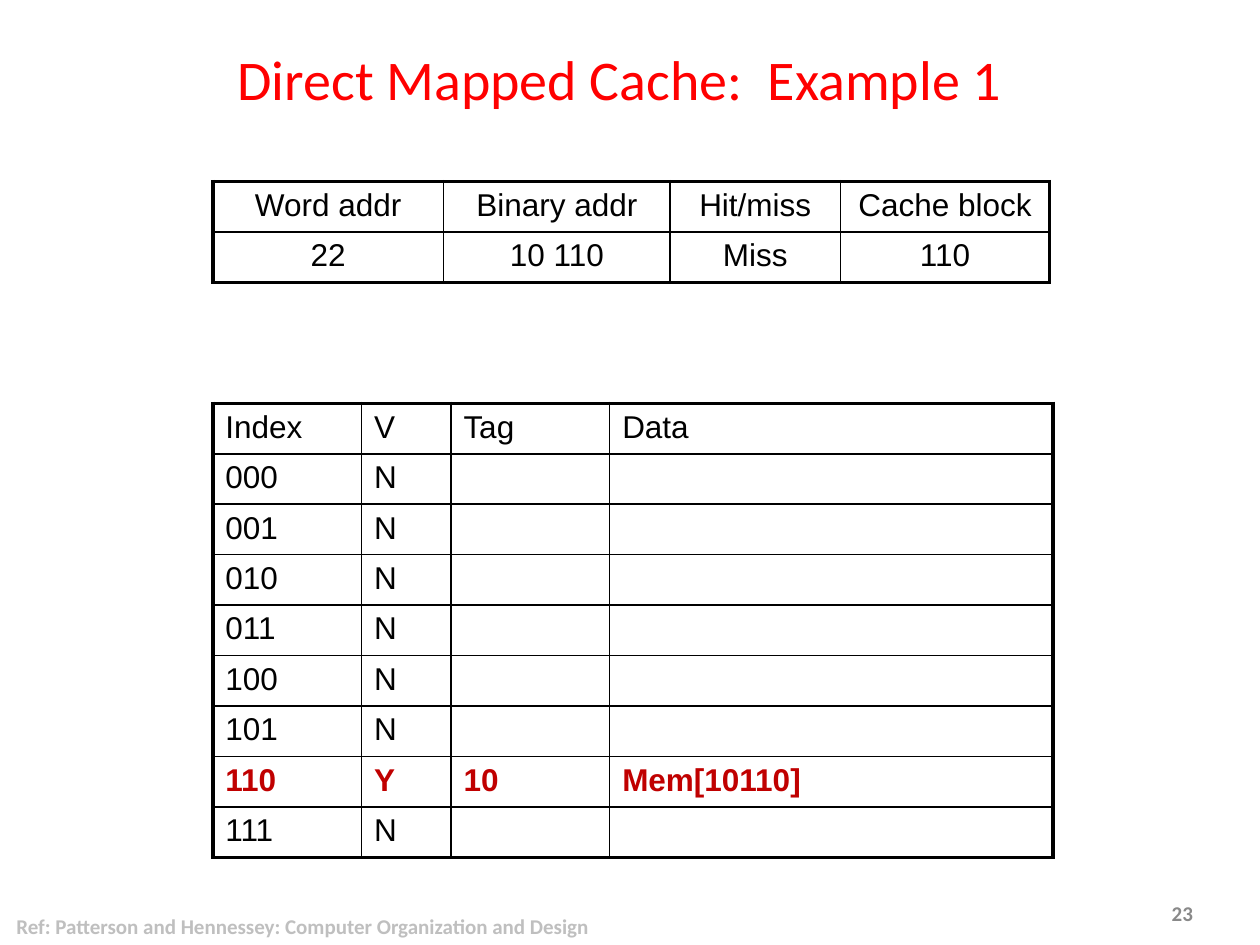
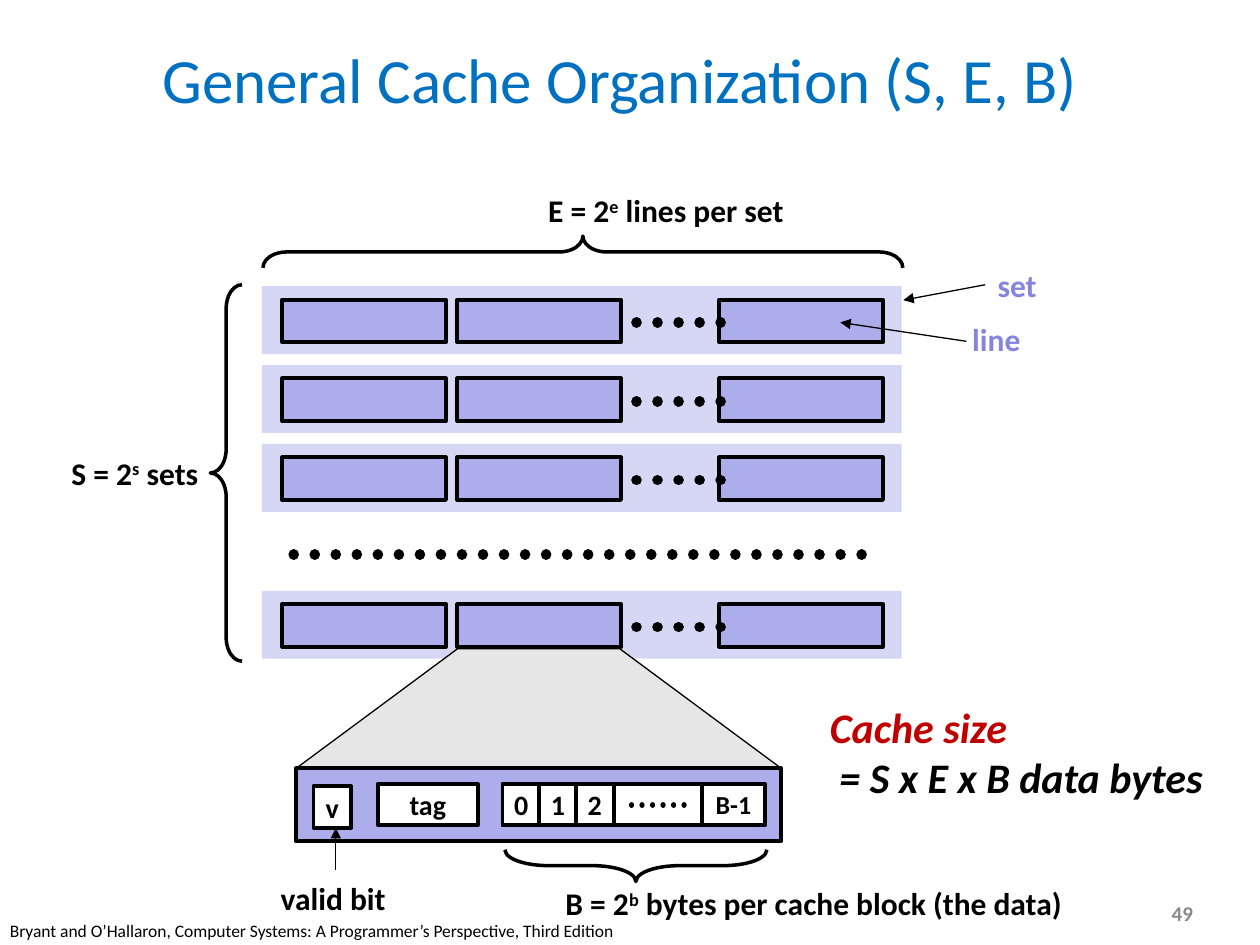
"""Builds two slides on how a cache is organized."""
from lxml.etree import SubElement
from pptx import Presentation
from pptx.dml.color import RGBColor
from pptx.enum.dml import MSO_LINE
from pptx.enum.shapes import MSO_CONNECTOR, MSO_SHAPE
from pptx.enum.text import MSO_ANCHOR, PP_ALIGN
from pptx.oxml.ns import qn
from pptx.util import Cm, Pt

BLACK = RGBColor(0x00, 0x00, 0x00)
WHITE = RGBColor(0xFF, 0xFF, 0xFF)
RED = RGBColor(0xFF, 0x00, 0x00)
BLUE = RGBColor(0x00, 0x70, 0xC0)
CRIMSON = RGBColor(0xC0, 0x00, 0x00)
GRAY = RGBColor(0x89, 0x89, 0x89)
SILVER = RGBColor(0xBF, 0xBF, 0xBF)
SMOKE = RGBColor(0xE6, 0xE6, 0xE6)
LILAC = RGBColor(0xD6, 0xD6, 0xF5)
VIOLET = RGBColor(0xAD, 0xAD, 0xEB)
PURPLE = RGBColor(0x85, 0x85, 0xE0)

THICK, MEDIUM, THIN = 2.25, 1.5, 1


def write(para, text, size=18, color=BLACK, font="Calibri", bold=True,
          italic=False, align=PP_ALIGN.LEFT):
    """Write formatted text; parts between ^ marks are superscript."""
    para.alignment = align
    for i, part in enumerate(text.split("^")):
        run = para.add_run()
        run.text = part
        run.font.name = font
        run.font.size = Pt(size)
        run.font.bold = bold
        run.font.italic = italic
        run.font.color.rgb = color
        if i % 2:
            run.font._element.set("baseline", "30000")


def label(slide, text, left, top, width, height=1.02, **style):
    """Add a text box on one line and return its frame."""
    box = slide.shapes.add_textbox(Cm(left), Cm(top), Cm(width), Cm(height))
    frame = box.text_frame
    frame.word_wrap = False
    frame.vertical_anchor = MSO_ANCHOR.MIDDLE
    write(frame.paragraphs[0], text, **style)
    return frame


def start(deck, title, number, **style):
    """Add a slide with its title and page number."""
    slide = deck.slides.add_slide(deck.slide_layouts[5])
    head = slide.shapes.title
    head.left, head.top = Cm(1.09), Cm(0.53)
    head.width, head.height = Cm(22.81), Cm(2.11)
    write(head.text_frame.paragraphs[0], title, bold=False,
          align=PP_ALIGN.CENTER, **style)
    label(slide, number, 23.37, 18.03, 1.02, 0.76, size=12, color=GRAY)
    return slide


def shape(slide, kind, left, top, width, height, fill=None, line=THICK):
    """Add a preset shape with a black outline or none."""
    item = slide.shapes.add_shape(kind, Cm(left), Cm(top), Cm(width), Cm(height))
    item.shadow.inherit = False
    if fill is None:
        item.fill.background()
    else:
        item.fill.solid()
        item.fill.fore_color.rgb = fill
    if line:
        item.line.color.rgb = BLACK
        item.line.width = Pt(line)
    else:
        item.line.fill.background()
    return item


def block(slide, left, top, width, height, fill, text="", size=16, line=THICK):
    """Add a rectangle with an optional centred caption."""
    item = shape(slide, MSO_SHAPE.RECTANGLE, left, top, width, height, fill, line)
    if text:
        frame = item.text_frame
        frame.word_wrap = False
        frame.vertical_anchor = MSO_ANCHOR.MIDDLE
        write(frame.paragraphs[0], text, size=size, align=PP_ALIGN.CENTER)


def brace(slide, left, top, height, turn=0, curve=0.75):
    """Add a left brace, turned by some degrees."""
    item = shape(slide, MSO_SHAPE.LEFT_BRACE, left, top, 0.64, height, line=2)
    item.adjustments[0] = curve
    item.rotation = turn


def link(slide, x1, y1, x2, y2, width):
    """Add a plain black line without shadow."""
    item = slide.shapes.add_connector(
        MSO_CONNECTOR.STRAIGHT, Cm(x1), Cm(y1), Cm(x2), Cm(y2))
    item.line.color.rgb = BLACK
    item.line.width = Pt(width)
    SubElement(item._element.spPr, qn("a:effectLst"))
    return item


def arrow(slide, *ends):
    """Add a thin arrow pointing at its second end."""
    item = link(slide, *ends, 0.75)
    SubElement(item.line._get_or_add_ln(), qn("a:tailEnd"), type="triangle")


def dots(slide, left, right, top, width=6):
    """Add a level row of round dots."""
    item = link(slide, left, top, right, top, width)
    item.line.dash_style = MSO_LINE.ROUND_DOT
    item.line._get_or_add_ln().set("cap", "rnd")


def edge(cell, side, width):
    """Draw one black border of a cell."""
    line = SubElement(cell._tc.get_or_add_tcPr(), qn("a:" + side),
                      w=str(Pt(width)))
    fill = SubElement(line, qn("a:solidFill"))
    SubElement(fill, qn("a:srgbClr"), val=str(BLACK))


def table(slide, rows, widths, top, height, align=PP_ALIGN.LEFT, hot=None):
    """Add a ruled table, with row number hot in bold crimson."""
    grid = slide.shapes.add_table(
        len(rows), len(widths), Cm(4.29), Cm(top),
        Cm(sum(widths)), Cm(height)).table
    grid.first_row = grid.horz_banding = False
    for column, width in zip(grid.columns, widths):
        column.width = Cm(width)
    end, last = len(rows) - 1, len(widths) - 1
    for r, row in enumerate(rows):
        for c, text in enumerate(row):
            cell = grid.cell(r, c)
            edge(cell, "lnL", THIN if c else THICK)
            edge(cell, "lnR", THICK if c == last else THIN)
            edge(cell, "lnT", {0: THICK, 1: MEDIUM}.get(r, THIN))
            edge(cell, "lnB", THICK if r == end else THIN if r else MEDIUM)
            cell.fill.background()
            if text:
                write(cell.text_frame.paragraphs[0], text, font="Arial",
                      bold=r == hot, color=CRIMSON if r == hot else BLACK,
                      align=align)


def direct(deck):
    """Build the slide on the direct mapped cache."""
    slide = start(deck, "Direct Mapped Cache:  Example 1", "23",
                  size=32, color=RED)
    hit = 6
    rows = [(f"{i:03b}", "N", "", "") for i in range(8)]
    rows[hit] = (f"{hit:03b}", "Y", "10", "Mem[10110]")
    table(slide, [("Index", "V", "Tag", "Data"), *rows],
          (3, 1.8, 3.2, 8.94), 8.13, 9.14, hot=hit + 1)
    table(slide, [("Word addr", "Binary addr", "Hit/miss", "Cache block"),
                  ("22", "10 110", "Miss", "110")],
          (4.65, 4.57, 3.43, 4.22), 3.66, 2.03, align=PP_ALIGN.CENTER)
    label(slide, "Ref: Patterson and Hennessey: Computer Organization and Design",
          0.08, 18.16, 12.09, size=12, color=SILVER)


def sets(slide):
    """Draw the cache sets with their lines, braces and labels."""
    for top in (5.77, 7.36, 8.95, 11.91):
        block(slide, 5.28, top, 12.9, 1.37, LILAC, line=0)
        for left in (5.69, 9.22, 14.5):
            block(slide, left, top + 0.27, 3.3, 0.86, VIOLET)
        dots(slide, 12.83, 14.53, top + 0.73)
    dots(slide, 5.92, 17.78, 11.18)
    brace(slide, 11.43, -1.37, 12.9, turn=90)
    brace(slide, 4.24, 5.74, 7.59)
    label(slide, "E = 2^e^ lines per set", 10.8, 3.73, 5.44)
    label(slide, "S = 2^s^ sets", 1.19, 9.02, 3.12)
    label(slide, "set", 19.86, 5.23, 1.3, color=PURPLE)
    label(slide, "line", 19.35, 6.32, 1.5, color=PURPLE)
    arrow(slide, 19.86, 5.74, 18.21, 6.05)
    arrow(slide, 19.48, 6.88, 16.94, 6.5)


def zoom(slide):
    """Draw one cache line in detail."""
    cone = shape(slide, MSO_SHAPE.TRAPEZOID, 5.97, 13.08, 9.78, 2.41, SMOKE, 0.75)
    cone.adjustments[0] = 1.35
    block(slide, 5.97, 15.49, 9.78, 1.47, VIOLET)
    for i in range(3):
        block(slide, 10.13 + 0.74 * i, 15.8, 0.76, 0.84, WHITE, str(i))
    block(slide, 14.15, 15.8, 1.27, 0.84, WHITE, "B-1", size=14.8)
    block(slide, 12.37, 15.8, 1.78, 0.84, WHITE)
    dots(slide, 12.73, 14, 16.23, width=3)
    block(slide, 7.62, 15.8, 2.01, 0.84, WHITE, "tag")
    block(slide, 6.32, 15.85, 0.76, 0.84, WHITE, "v")
    brace(slide, 12.5, 14.81, 5.28, turn=270, curve=1.37)
    label(slide, "B = 2^b^ bytes per cache block (the data)", 11.15, 17.7, 10.9)
    label(slide, "valid bit", 5.41, 17.6, 2.64)
    arrow(slide, 6.77, 17.53, 6.77, 16.69)


def general(deck):
    """Build the slide on the general cache layout."""
    slide = start(deck, "General Cache Organization (S, E, B)", "49",
                  size=36, color=BLUE)
    sets(slide)
    zoom(slide)
    frame = label(slide, "Cache size", 16.48, 14, 8.08, 2.31,
                  size=24, color=CRIMSON, italic=True)
    write(frame.add_paragraph(), " = S x E x B data bytes", size=24, italic=True)
    label(slide, "Bryant and O’Hallaron, Computer Systems: "
          "A Programmer’s Perspective, Third Edition",
          -0.05, 18.42, 12.9, 0.69, size=10, bold=False)


def main():
    """Build and save the deck."""
    deck = Presentation()
    deck.slide_width, deck.slide_height = Cm(25.4), Cm(19.05)
    direct(deck)
    general(deck)
    deck.save("out.pptx")


if __name__ == "__main__":
    main()
